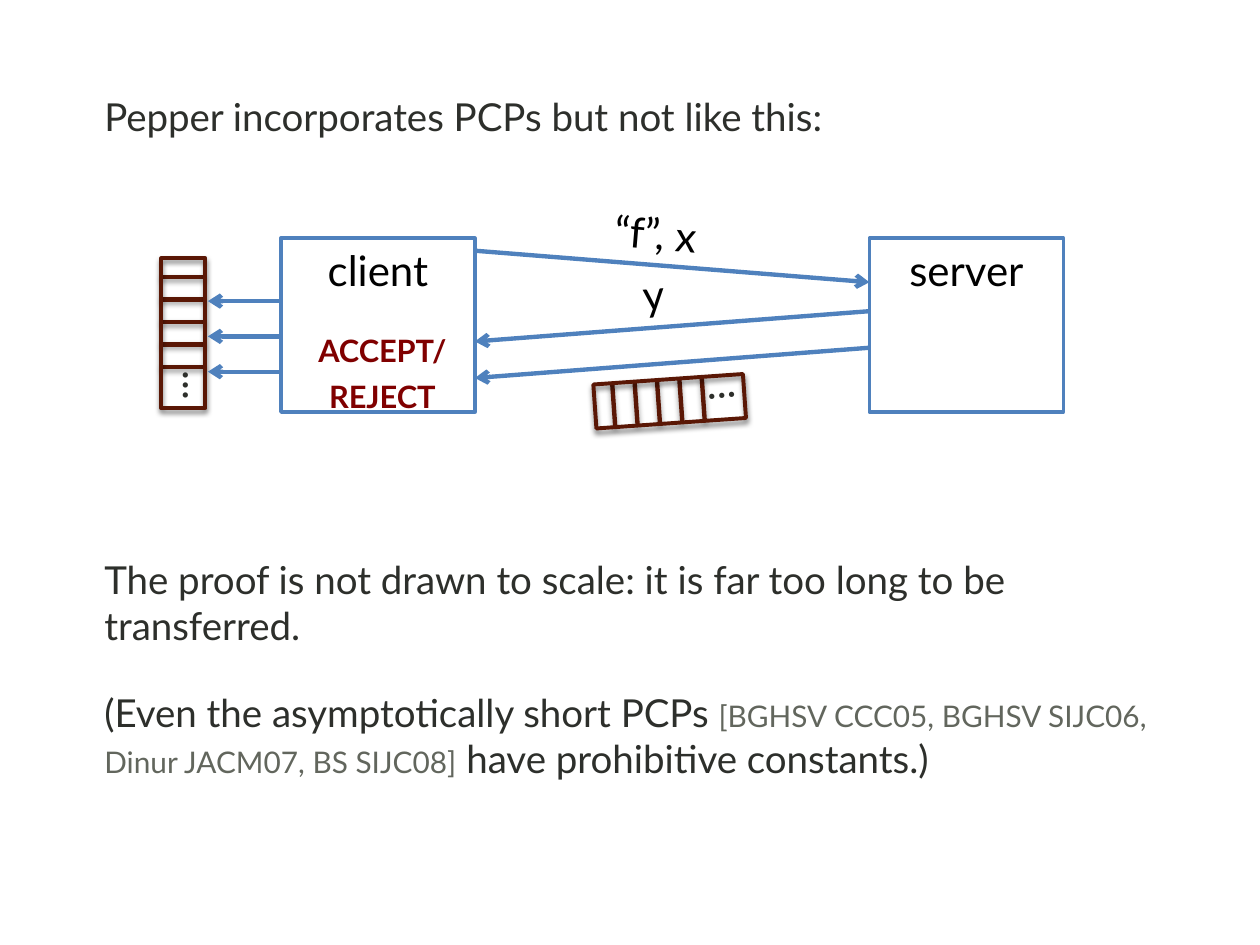
from math import cos, radians, sin

from lxml.etree import SubElement
from pptx import Presentation
from pptx.dml.color import RGBColor
from pptx.enum.shapes import MSO_CONNECTOR, MSO_SHAPE
from pptx.enum.text import PP_ALIGN
from pptx.oxml.ns import qn
from pptx.util import Inches, Pt

COLORS = {"ink": "2D2F2B", "label": "000000", "cite": "62665D",
          "verdict": "800000", "flow": "4F81BD", "proof": "5A1705"}
FONT = "Lato"
COLUMNS = 100
SLIDE_WIDTH, SLIDE_HEIGHT = Inches(10), Inches(7.5)
CELL = SLIDE_WIDTH / COLUMNS

CLIENT, SERVER = 22.3, 69
PARTY_TOP, PARTY_WIDTH, PARTY_HEIGHT = 18.9, 15.4, 13.8
CLIENT_EDGE = CLIENT + PARTY_WIDTH
LABEL_HEIGHT = 5

PARTIES = [("client", CLIENT), ("server", SERVER)]
MESSAGES = [("“f”, x", 41.4, 16, 4.9), ("y", 41.2, 20.8, -4.5)]
FLOWS = [
    (CLIENT_EDGE, 19.9, SERVER, 22.4),
    (SERVER, 24.7, CLIENT_EDGE, 27.1),
    (SERVER, 27.6, CLIENT_EDGE, 30),
]
QUERY_END, QUERY_TOP, QUERY_STEP, QUERY_COUNT = 16.5, 23.9, 2.8, 3

PROOFS = [(53.15, 31.85, -4), (14.55, 26.45, 90)]
PROOF_LENGTH, PROOF_DEPTH = 11.9, 3.5
DIVIDER_START, DIVIDER_STEP, DIVIDER_COUNT = -4.45, 1.78, 5
DOTS_AT, DOTS_SIZE = (4.8, -0.95), (5.6, 5.7)

STATEMENTS = [
    ((7.3, 6.9, 93.4, 8.3),
     [("Pepper incorporates PCPs but not like this:", 22, "ink")]),
    ((7.3, 43.6, 89.7, 6.9),
     [("The proof is not drawn to scale: it is far too long to be transferred.", 22, "ink")]),
    ((7.3, 54.2, 89.7, 13),
     [("(Even the asymptotically short PCPs ", 22, "ink"),
      ("[BGHSV CCC05, BGHSV SIJC06, Dinur JACM07, BS SIJC08]", 17, "cite"),
      (" have prohibitive constants.)", 22, "ink")]),
]


def grid(*cells):
    return [round(cell * CELL) for cell in cells]


def paint(name):
    return RGBColor.from_string(COLORS[name])


def add_effects(shape, shadow=None):
    properties = shape._element.spPr
    for old in properties.findall(qn("a:effectLst")):
        properties.remove(old)
    effects = SubElement(properties, qn("a:effectLst"))
    if shadow:
        blur, distance, opacity = shadow
        outer = SubElement(effects, qn("a:outerShdw"), blurRad=str(Pt(blur)),
                           dist=str(Pt(distance)), dir="5400000", rotWithShape="0")
        tint = SubElement(outer, qn("a:srgbClr"), val="000000")
        SubElement(tint, qn("a:alpha"), val=str(opacity * 1000))


def add_text(page, area, spans, align=PP_ALIGN.LEFT, angle=0):
    box = page.shapes.add_textbox(*grid(*area))
    box.rotation = angle
    box.text_frame.word_wrap = True
    para = box.text_frame.paragraphs[0]
    para.alignment = align
    para.font.name = FONT
    for text, size, color in spans:
        span = para.add_run()
        span.text = text
        span.font.name = FONT
        span.font.size = Pt(size)
        span.font.color.rgb = paint(color)
    return para


def add_line(page, ends, color, arrow=False, shadow=None):
    line = page.shapes.add_connector(MSO_CONNECTOR.STRAIGHT, *grid(*ends))
    line.line.color.rgb = paint(color)
    line.line.width = Pt(2.5)
    if arrow:
        SubElement(line.line._get_or_add_ln(), qn("a:tailEnd"), type="arrow")
    add_effects(line, shadow)


def add_frame(page, area, color, width, angle=0, shadow=None):
    frame = page.shapes.add_shape(MSO_SHAPE.RECTANGLE, *grid(*area))
    frame.rotation = angle
    frame.fill.background()
    frame.line.color.rgb = paint(color)
    frame.line.width = Pt(width)
    add_effects(frame, shadow)


def centered(x, y, width, height):
    return x - width / 2, y - height / 2, width, height


def add_proof(page, x, y, angle):
    turn = radians(angle)

    def locate(along, across):
        return (x + along * cos(turn) - across * sin(turn),
                y + along * sin(turn) + across * cos(turn))

    for index in range(DIVIDER_COUNT):
        along = DIVIDER_START + index * DIVIDER_STEP
        ends = locate(along, -PROOF_DEPTH / 2) + locate(along, PROOF_DEPTH / 2)
        add_line(page, ends, "proof", shadow=(3.1, 1.6, 38))
    add_text(page, centered(*locate(*DOTS_AT), *DOTS_SIZE), [("...", 24, "ink")], angle=angle)
    add_frame(page, centered(x, y, PROOF_LENGTH, PROOF_DEPTH), "proof", 2.25,
              angle, shadow=(3, 2, 50))


def main():
    deck = Presentation()
    deck.slide_width, deck.slide_height = SLIDE_WIDTH, SLIDE_HEIGHT
    page = deck.slides.add_slide(deck.slide_layouts[6])

    verdict = add_text(page, (22, 25.2, 16.7, 7.7), [("accept/reject", 22, "verdict")],
                       PP_ALIGN.CENTER)
    verdict.runs[0].font.bold = True
    verdict.runs[0]._r.get_or_add_rPr().set("cap", "small")

    for name, left in PARTIES:
        add_frame(page, (left, PARTY_TOP, PARTY_WIDTH, PARTY_HEIGHT), "flow", 2)
        add_text(page, (left, PARTY_TOP, PARTY_WIDTH, LABEL_HEIGHT),
                 [(name, 24, "label")], PP_ALIGN.CENTER)
    for text, left, top, angle in MESSAGES:
        add_text(page, (left, top, 21.3, LABEL_HEIGHT), [(text, 24, "label")],
                 PP_ALIGN.CENTER, angle)
    for ends in FLOWS:
        add_line(page, ends, "flow", arrow=True)
    for proof in PROOFS:
        add_proof(page, *proof)
    for index in range(QUERY_COUNT):
        row = QUERY_TOP + index * QUERY_STEP
        add_line(page, (CLIENT, row, QUERY_END, row), "flow", arrow=True)
    for area, spans in STATEMENTS:
        add_text(page, area, spans)

    deck.save("out.pptx")


if __name__ == "__main__":
    main()
